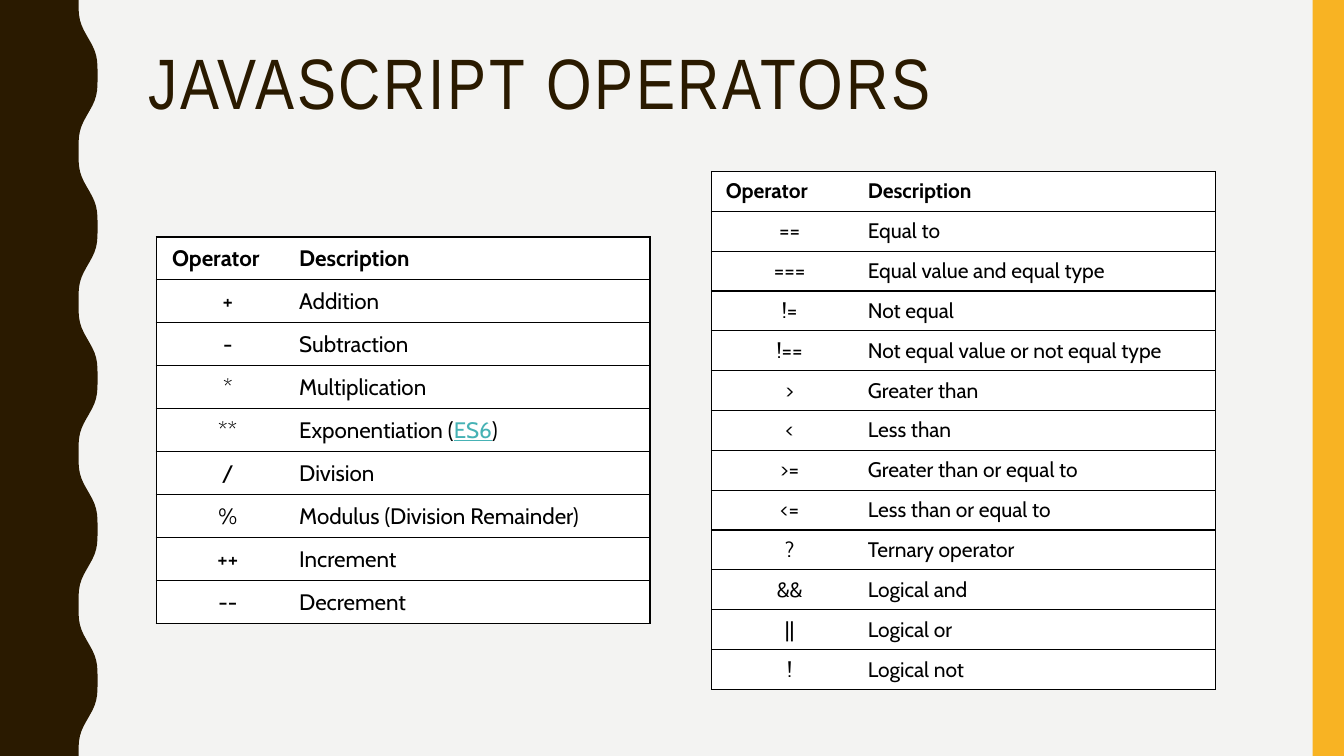
import math
from dataclasses import dataclass

import lxml.etree
import pptx
import pptx.dml.color
import pptx.enum.shapes
import pptx.enum.text
import pptx.oxml.ns
import pptx.util
from pptx.util import Cm

SLIDE_WIDTH, SLIDE_HEIGHT = 33.87, 19.05
BROWN, AMBER, BACKGROUND = "2A1A00", "F8B323", "F3F3F2"
BLACK, WHITE, TEAL = "000000", "FFFFFF", "46B2B5"
HIGHLIGHT = "ES6"


@dataclass
class OperatorTable:
    left: float
    top: float
    column_widths: tuple[float, float]
    row_height: float
    inset: float
    font_size: int
    operators: list[tuple[str, str]]


TABLES = [
    OperatorTable(3.94, 5.97, (3.4, 9.04), 1.08, 0.2, 16, [
        ("+", "Addition"),
        ("-", "Subtraction"),
        ("*", "Multiplication"),
        ("**", "Exponentiation (ES6)"),
        ("/", "Division"),
        ("%", "Modulus (Division Remainder)"),
        ("++", "Increment"),
        ("--", "Decrement"),
    ]),
    OperatorTable(17.93, 4.32, (3.76, 8.95), 1.0, 0.18, 15, [
        ("==", "Equal to"),
        ("===", "Equal value and equal type"),
        ("!=", "Not equal"),
        ("!==", "Not equal value or not equal type"),
        (">", "Greater than"),
        ("<", "Less than"),
        (">=", "Greater than or equal to"),
        ("<=", "Less than or equal to"),
        ("?", "Ternary operator"),
        ("&&", "Logical and"),
        ("||", "Logical or"),
        ("!", "Logical not"),
    ]),
]


def set_color(color_holder, hex_color: str) -> None:
    """Colour a fill or a font."""
    if hasattr(color_holder, "solid"):
        color_holder.solid()
        color_holder = color_holder.fore_color
    else:
        color_holder = color_holder.color
    color_holder.rgb = pptx.dml.color.RGBColor.from_string(hex_color)


def fill_shape(shape, hex_color: str) -> None:
    set_color(shape.fill, hex_color)
    shape.line.fill.background()
    shape.shadow.inherit = False


def draw_wavy_band(slide) -> None:
    period, middle, amplitude, step_count = 3.81, 2.22, 0.24, 150
    points = []
    for step in range(step_count + 1):
        y = SLIDE_HEIGHT * step / step_count
        angle = 2 * math.pi * y / period
        wave = 1.12 * math.cos(angle) - 0.12 * math.cos(3 * angle)
        points.append((Cm(middle - amplitude * wave), Cm(y)))
    builder = slide.shapes.build_freeform(0, 0)
    builder.add_line_segments([*points, (0, Cm(SLIDE_HEIGHT))], close=True)
    fill_shape(builder.convert_to_shape(), BROWN)


def draw_side_bar(slide) -> None:
    width = 0.79
    bar = slide.shapes.add_shape(
        pptx.enum.shapes.MSO_SHAPE.RECTANGLE,
        Cm(SLIDE_WIDTH - width), 0, Cm(width), Cm(SLIDE_HEIGHT))
    fill_shape(bar, AMBER)


def write_title(slide, text: str) -> None:
    title = slide.shapes.title
    title.left, title.top, title.width, title.height = Cm(3.48), Cm(1.07), Cm(28.27), Cm(4.14)
    frame = title.text_frame
    frame.text = text
    frame.word_wrap = True
    frame.auto_size = pptx.enum.text.MSO_AUTO_SIZE.NONE
    frame.vertical_anchor = pptx.enum.text.MSO_ANCHOR.TOP
    paragraph = frame.paragraphs[0]
    paragraph.alignment = pptx.enum.text.PP_ALIGN.LEFT
    paragraph.line_spacing = 0.9
    paragraph.font.name = "Arial Narrow"
    paragraph.font.size = pptx.util.Pt(51)
    set_color(paragraph.font, BROWN)
    paragraph.runs[0]._r.get_or_add_rPr().set("spc", "200")


def set_borders(cell, open_side: str) -> None:
    """Draw black borders on every side of the cell but the open one."""
    properties = cell._tc.get_or_add_tcPr()
    qualified = pptx.oxml.ns.qn
    for side in "LRTB":
        line = lxml.etree.SubElement(properties, qualified(f"a:ln{side}"), w="12700")
        if side == open_side:
            lxml.etree.SubElement(line, qualified("a:noFill"))
        else:
            fill = lxml.etree.SubElement(line, qualified("a:solidFill"))
            lxml.etree.SubElement(fill, qualified("a:srgbClr"), val=BLACK)


def write_cell(cell, text: str, table: OperatorTable, is_header: bool, is_operator: bool) -> None:
    set_borders(cell, "R" if is_operator else "L")
    set_color(cell.fill, WHITE)
    cell.margin_left = Cm(table.inset * (2 if is_operator else 1))
    cell.margin_right = cell.margin_top = cell.margin_bottom = Cm(table.inset)
    paragraph = cell.text_frame.paragraphs[0]
    if is_operator and not is_header:
        paragraph.alignment = pptx.enum.text.PP_ALIGN.CENTER
    paragraph.font.name = "Cabin"
    paragraph.font.size = pptx.util.Pt(table.font_size)
    paragraph.font.bold = is_header
    set_color(paragraph.font, BLACK)
    for part in filter(None, text.partition(HIGHLIGHT)):
        run = paragraph.add_run()
        run.text = part
        if part == HIGHLIGHT:
            run.font.underline = True
            set_color(run.font, TEAL)


def draw_table(slide, table: OperatorTable) -> None:
    rows = [("Operator", "Description"), *table.operators]
    grid = slide.shapes.add_table(
        len(rows), 2, Cm(table.left), Cm(table.top),
        Cm(sum(table.column_widths)), Cm(table.row_height * len(rows))).table
    grid.first_row = grid.horz_banding = False
    for column, width in zip(grid.columns, table.column_widths):
        column.width = Cm(width)
    for row_index, row in enumerate(rows):
        grid.rows[row_index].height = Cm(table.row_height)
        for column_index, text in enumerate(row):
            write_cell(grid.cell(row_index, column_index), text, table,
                       is_header=row_index == 0, is_operator=column_index == 0)


def main() -> None:
    presentation = pptx.Presentation()
    presentation.slide_width = Cm(SLIDE_WIDTH)
    presentation.slide_height = Cm(SLIDE_HEIGHT)
    slide = presentation.slides.add_slide(presentation.slide_layouts.get_by_name("Title Only"))
    set_color(slide.background.fill, BACKGROUND)
    draw_wavy_band(slide)
    draw_side_bar(slide)
    write_title(slide, "JAVASCRIPT OPERATORS")
    for table in TABLES:
        draw_table(slide, table)
    presentation.save("out.pptx")


if __name__ == "__main__":
    main()
